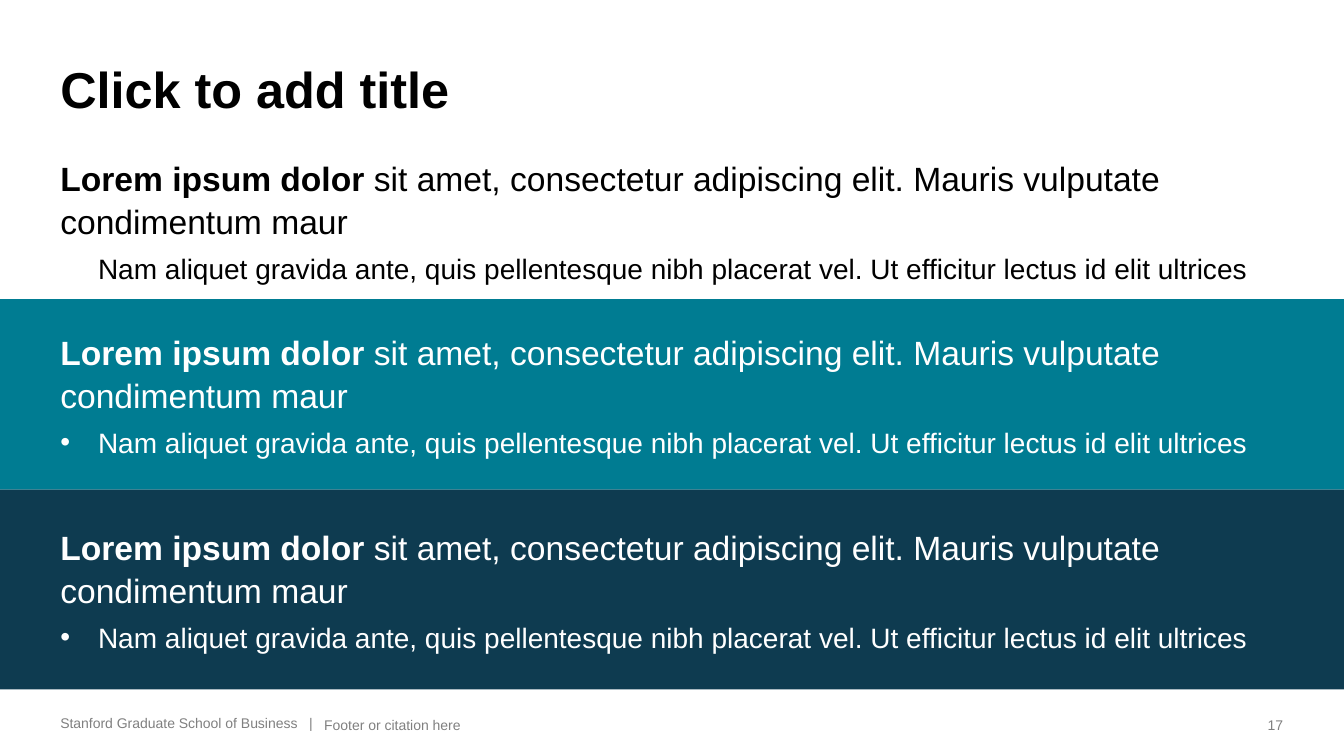
import pptx
import pptx.dml.color
import pptx.enum.text
import pptx.oxml.ns
import pptx.util
from lxml import etree

Cm = pptx.util.Cm
Pt = pptx.util.Pt
ANCHOR = pptx.enum.text.MSO_ANCHOR
ALIGN = pptx.enum.text.PP_ALIGN

COLOURS = {
    "black": "000000",
    "white": "FFFFFF",
    "teal": "007C92",
    "navy": "0E3B50",
    "grey": "808080",
}
PAGE_WIDTH, PAGE_HEIGHT = 33.87, 19.05
LINE_SPACING = 1.05
BULLET_INDENT = 0.95

LEAD = "Lorem ipsum dolor "
STATEMENT = "sit amet, consectetur adipiscing elit. Mauris vulputate condimentum maur"
DETAIL = ("Nam aliquet gravida ante, quis pellentesque nibh placerat vel. "
          "Ut efficitur lectus id elit ultrices")

# Placeholder index, top, height, fill, text colour, anchor, bullet
BANDS = [
    (1, 3.81, 4.55, None, "black", ANCHOR.TOP, None),
    (2, 7.54, 4.80, "teal", "white", ANCHOR.MIDDLE, "•"),
    (3, 12.34, 5.03, "navy", "white", ANCHOR.MIDDLE, "•"),
]


def rgb(name):
    return pptx.dml.color.RGBColor.from_string(COLOURS[name])


def set_all(target, **values):
    for name, value in values.items():
        setattr(target, name, value)


def place(box, left, top, width, height):
    set_all(box, left=Cm(left), top=Cm(top), width=Cm(width), height=Cm(height))


def format_frame(box, anchor, side=0.25, wrap=True):
    set_all(box.text_frame, auto_size=pptx.enum.text.MSO_AUTO_SIZE.NONE,
            word_wrap=wrap, vertical_anchor=anchor,
            margin_left=Cm(side), margin_right=Cm(side),
            margin_top=Cm(0.13), margin_bottom=Cm(0.13))


def add_span(para, text, size, colour, bold=False):
    span = para.add_run()
    span.text = text
    set_all(span.font, name="Arial", size=Pt(size), bold=bold)
    span.font.color.rgb = rgb(colour)


def set_bullet(para, indent, symbol=None):
    properties = para._p.get_or_add_pPr()
    properties.set("marL", str(Cm(indent)))
    properties.set("indent", str(-Cm(indent) if symbol else 0))
    tag = "a:buChar" if symbol else "a:buNone"
    bullet = etree.SubElement(properties, pptx.oxml.ns.qn(tag))
    if symbol:
        bullet.set("char", symbol)


def add_title(page, text):
    title = page.shapes.title
    place(title, 1.27, 1.27, 31.32, 1.8)
    format_frame(title, ANCHOR.TOP)
    para = title.text_frame.paragraphs[0]
    set_all(para, alignment=ALIGN.LEFT, line_spacing=LINE_SPACING)
    add_span(para, text, 36, "black", bold=True)


def add_band(page, index, top, height, fill, colour, anchor, symbol):
    band = page.placeholders[index]
    place(band, 0, top, PAGE_WIDTH, height)
    format_frame(band, anchor, side=1.52)
    if fill:
        band.fill.solid()
        band.fill.fore_color.rgb = rgb(fill)

    statement = band.text_frame.paragraphs[0]
    set_bullet(statement, 0)
    set_all(statement, space_before=Pt(0), line_spacing=LINE_SPACING)
    add_span(statement, LEAD, 24, colour, bold=True)
    add_span(statement, STATEMENT, 24, colour)

    detail = band.text_frame.add_paragraph()
    detail.level = 1
    set_bullet(detail, BULLET_INDENT, symbol)
    set_all(detail, space_before=Pt(6), line_spacing=LINE_SPACING)
    add_span(detail, DETAIL, 20, colour)


def add_footer(page, text, left, width, height=0.74, align=ALIGN.LEFT, wrap=True):
    box = page.shapes.add_textbox(Cm(left), Cm(17.86), Cm(width), Cm(height))
    format_frame(box, ANCHOR.BOTTOM, wrap=wrap)
    para = box.text_frame.paragraphs[0]
    para.alignment = align
    add_span(para, text, 10, "grey")


def main():
    deck = pptx.Presentation()
    set_all(deck, slide_width=Cm(PAGE_WIDTH), slide_height=Cm(PAGE_HEIGHT))
    page = deck.slides.add_slide(deck.slide_layouts.get_by_name("Comparison"))

    # Title and text bands
    add_title(page, "Click to add title")
    for band in BANDS:
        add_band(page, *band)
    spare = page.placeholders[4].element
    spare.getparent().remove(spare)

    # Footer line
    add_footer(page, "Stanford Graduate School of Business\u00a0\u00a0 |".replace("\u00a0\u00a0 ", "   "),
               1.27, 6.91, height=0.69, wrap=False)
    add_footer(page, "Footer or citation here", 7.92, 23.29)
    add_footer(page, "17", 31.6, 0.99, align=ALIGN.RIGHT, wrap=False)

    deck.save("out.pptx")


if __name__ == "__main__":
    main()
